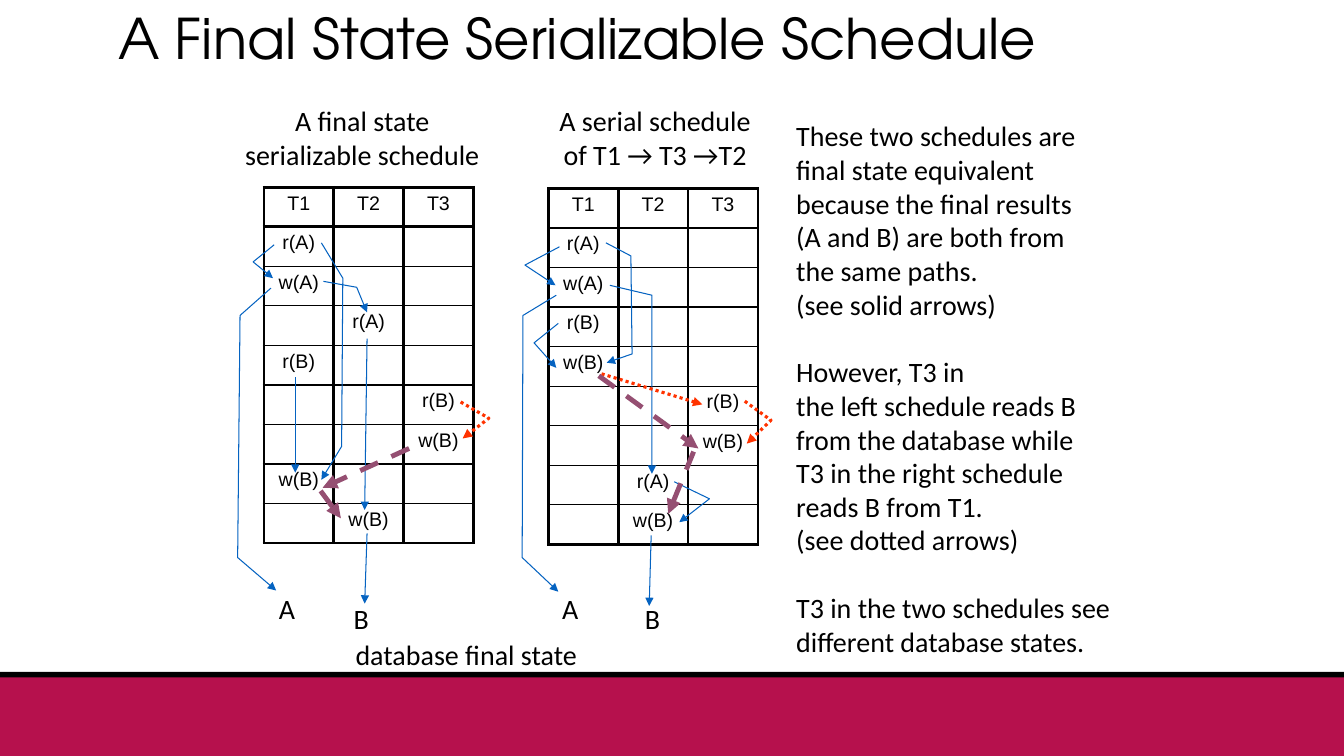
from pptx import Presentation
from pptx import util as u
from pptx.dml.color import RGBColor
from pptx.enum import dml, shapes, text
from pptx.oxml.ns import qn
from lxml import etree

COLORS = {"black": "000000", "band": "B6114D", "blue": "0563C1",
          "red": "FF3300", "purple": "954F72"}
BODY_FONT = {"name": "Calibri", "size": u.Pt(20)}
CELL_FONT = {"name": "Arial", "size": u.Pt(14)}
TITLE_FONT = {"name": "TeX Gyre Adventor", "size": u.Pt(40)}
FRAME = {"word_wrap": False, "auto_size": text.MSO_AUTO_SIZE.NONE}


def write(frame, lines, font, **paragraph_format):
    """Fill a text frame with one formatted paragraph per line."""
    for number, line in enumerate(lines):
        paragraph = frame.paragraphs[0] if number == 0 else frame.add_paragraph()
        run = paragraph.add_run()
        run.text = line
        for name, value in font.items():
            setattr(run.font, name, value)
        run.font.color.rgb = RGBColor.from_string(COLORS["black"])
        for name, value in paragraph_format.items():
            setattr(paragraph, name, value)


def place(shape, box):
    """Move a shape to left, top, width, height in centimetres."""
    for name, value in zip(("left", "top", "width", "height"), box):
        setattr(shape, name, u.Cm(value))


presentation = Presentation()
presentation.slide_width = u.Cm(33.87)
presentation.slide_height = u.Cm(19.05)
slide = presentation.slides.add_slide(presentation.slide_layouts[1])

# Footer band with its black edge
for color, top in (("black", 16.93), ("band", 17.07)):
    band = slide.shapes.add_shape(shapes.MSO_SHAPE.RECTANGLE, 0, u.Cm(top),
                                  u.Cm(33.87), u.Cm(19.05 - top))
    band.fill.solid()
    band.fill.fore_color.rgb = RGBColor.from_string(COLORS[color])
    band.line.fill.background()
    band.shadow.inherit = False

# Title
title = slide.shapes.title
place(title, (2.72, -0.23, 29.21, 2.54))
title.text_frame.auto_size = text.MSO_AUTO_SIZE.NONE
title.text_frame.vertical_anchor = text.MSO_ANCHOR.MIDDLE
write(title.text_frame, ["A Final State Serializable Schedule"], TITLE_FONT,
      alignment=text.PP_ALIGN.LEFT, line_spacing=0.9)

# Explanation: three groups of lines
groups = [
    ["These two schedules are", "final state equivalent", "because the final results",
     "(A and B) are both from", "the same paths.", "(see solid arrows)"],
    ["However, T3 in", "the left schedule reads B", "from the database while",
     "T3 in the right schedule", "reads B from T1.", "(see dotted arrows)"],
    ["T3 in the two schedules see", "different database states."],
]
explanation = slide.placeholders[1]
place(explanation, (19.81, 2.87, 8.66, 13.94))
for name, value in FRAME.items():
    setattr(explanation.text_frame, name, value)
write(explanation.text_frame, [line for group in groups for line in group],
      BODY_FONT, space_before=u.Pt(0))
for paragraph in explanation.text_frame.paragraphs:
    properties = paragraph._p.get_or_add_pPr()
    properties.set("marL", "0")
    properties.set("indent", "0")
    etree.SubElement(properties, qn("a:buNone"))
for group_start in (len(groups[0]), len(groups[0]) + len(groups[1])):
    explanation.text_frame.paragraphs[group_start].space_before = u.Pt(24.4)

# Schedules: the transaction column and the operation of each step
schedules = [
    (6.65, 4.72, [(0, "r(A)"), (0, "w(A)"), (1, "r(A)"), (0, "r(B)"),
                  (2, "r(B)"), (2, "w(B)"), (0, "w(B)"), (1, "w(B)")]),
    (13.82, 4.75, [(0, "r(A)"), (0, "w(A)"), (0, "r(B)"), (0, "w(B)"),
                   (2, "r(B)"), (2, "w(B)"), (1, "r(A)"), (1, "w(B)")]),
]
for left, top, steps in schedules:
    table = slide.shapes.add_table(len(steps) + 1, 3, u.Cm(left), u.Cm(top),
                                   u.Cm(5.28), u.Cm(8.97)).table
    table.first_row = table.horz_banding = False
    entries = {(0, column): f"T{column + 1}" for column in range(3)}
    entries.update({(row, column): operation
                    for row, (column, operation) in enumerate(steps, 1)})
    for row in range(len(steps) + 1):
        for column in range(3):
            cell = table.cell(row, column)
            cell.margin_bottom = 0
            if (row, column) in entries:
                write(cell.text_frame, [entries[row, column]], CELL_FONT,
                      alignment=text.PP_ALIGN.CENTER)
            # Thick verticals, frame and header; thin lines between steps
            widths = {"lnL": 2.25, "lnR": 2.25,
                      "lnT": 2.25 if row < 2 else 1,
                      "lnB": 2.25 if row in (0, len(steps)) else 1}
            properties = cell._tc.get_or_add_tcPr()
            for side, width in widths.items():
                border = etree.SubElement(properties, qn(f"a:{side}"), w=str(u.Pt(width)))
                fill = etree.SubElement(border, qn("a:solidFill"))
                etree.SubElement(fill, qn("a:srgbClr"), val=COLORS["black"])
            cell.fill.background()

# Headings and final-state labels
labels = [
    ((13.74, 2.49, 5.54, 1.96), ["A serial schedule", "of T1 → T3 →T2"], "CENTER"),
    ((5.89, 2.49, 6.48, 1.96), ["A final state", "serializable schedule"], "CENTER"),
    ((6.78, 14.78, 0.91, 1.12), ["A"], "LEFT"),
    ((8.66, 15.04, 0.89, 1.12), ["B"], "LEFT"),
    ((13.92, 14.78, 0.91, 1.12), ["A"], "LEFT"),
    ((16, 15.04, 0.89, 1.12), ["B"], "LEFT"),
    ((8.71, 15.93, 6.17, 1.12), ["database final state"], "LEFT"),
]
for box, lines, alignment in labels:
    label = slide.shapes.add_textbox(0, 0, 0, 0)
    place(label, box)
    for name, value in FRAME.items():
        setattr(label.text_frame, name, value)
    write(label.text_frame, lines, BODY_FONT, alignment=text.PP_ALIGN[alignment])

# Arrows: colour, width, dash and the points of each route in centimetres
arrow_groups = [
    ("blue", 0.75, None, [
        [(9.25, 13.44), (9.19, 15.21)],
        [(16.41, 13.49), (16.36, 15.27)],
        [(6.83, 7.26), (6.05, 7.95), (5.99, 14.05), (6.96, 14.88)],
        [(14.02, 7.44), (13.18, 7.95), (13.16, 14.05), (14.07, 14.91)],
        [(14.1, 6.22), (13.23, 6.68), (14, 7.19)],
        [(6.91, 6.17), (6.38, 6.6), (6.88, 7.01)],
        [(8.1, 6.12), (8.64, 7.01), (8.61, 11.25), (8.1, 12.09)],
        [(15.27, 6.12), (15.9, 6.45), (15.93, 8.92), (15.29, 9.14)],
        [(14.07, 8.15), (13.46, 8.64), (14.02, 9.27)],
        [(7.44, 9.5), (7.44, 11.91)],
        [(9.25, 8.53), (9.19, 12.85)],
        [(16.99, 12.14), (17.88, 12.57), (17.12, 13.16)],
        [(15.37, 7.19), (16.43, 7.44), (16.43, 11.94)],
        [(8.15, 7.09), (8.99, 7.24), (9.25, 7.87)],
    ]),
    ("red", 2.25, dml.MSO_LINE.ROUND_DOT, [
        [(15.16, 9.42), (17.7, 10.19)],
        [(18.77, 10.11), (19.43, 10.59), (18.82, 11.18)],
        [(11.61, 10.13), (12.32, 10.54), (11.66, 11.05)],
    ]),
    ("purple", 3.5, dml.MSO_LINE.DASH, [
        [(17.48, 11.38), (16.84, 12.95)],
        [(15.09, 9.47), (17.6, 11.3)],
        [(10.31, 11.3), (8.13, 12.29)],
        [(8.08, 12.37), (8.59, 13.06)],
    ]),
]
for color, width, dash, routes in arrow_groups:
    for route in routes:
        points = [(u.Cm(x), u.Cm(y)) for x, y in route]
        if len(points) == 2:
            arrow = slide.shapes.add_connector(shapes.MSO_CONNECTOR.STRAIGHT,
                                               *points[0], *points[1])
        else:
            builder = slide.shapes.build_freeform(*points[0])
            builder.add_line_segments(points[1:], close=False)
            arrow = builder.convert_to_shape()
            arrow.fill.background()
        arrow.line.color.rgb = RGBColor.from_string(COLORS[color])
        arrow.line.width = u.Pt(width)
        if dash:
            arrow.line.dash_style = dash
        etree.SubElement(arrow.line._get_or_add_ln(), qn("a:tailEnd"), type="triangle")
        etree.SubElement(arrow._element.spPr, qn("a:effectLst"))

presentation.save("out.pptx")
